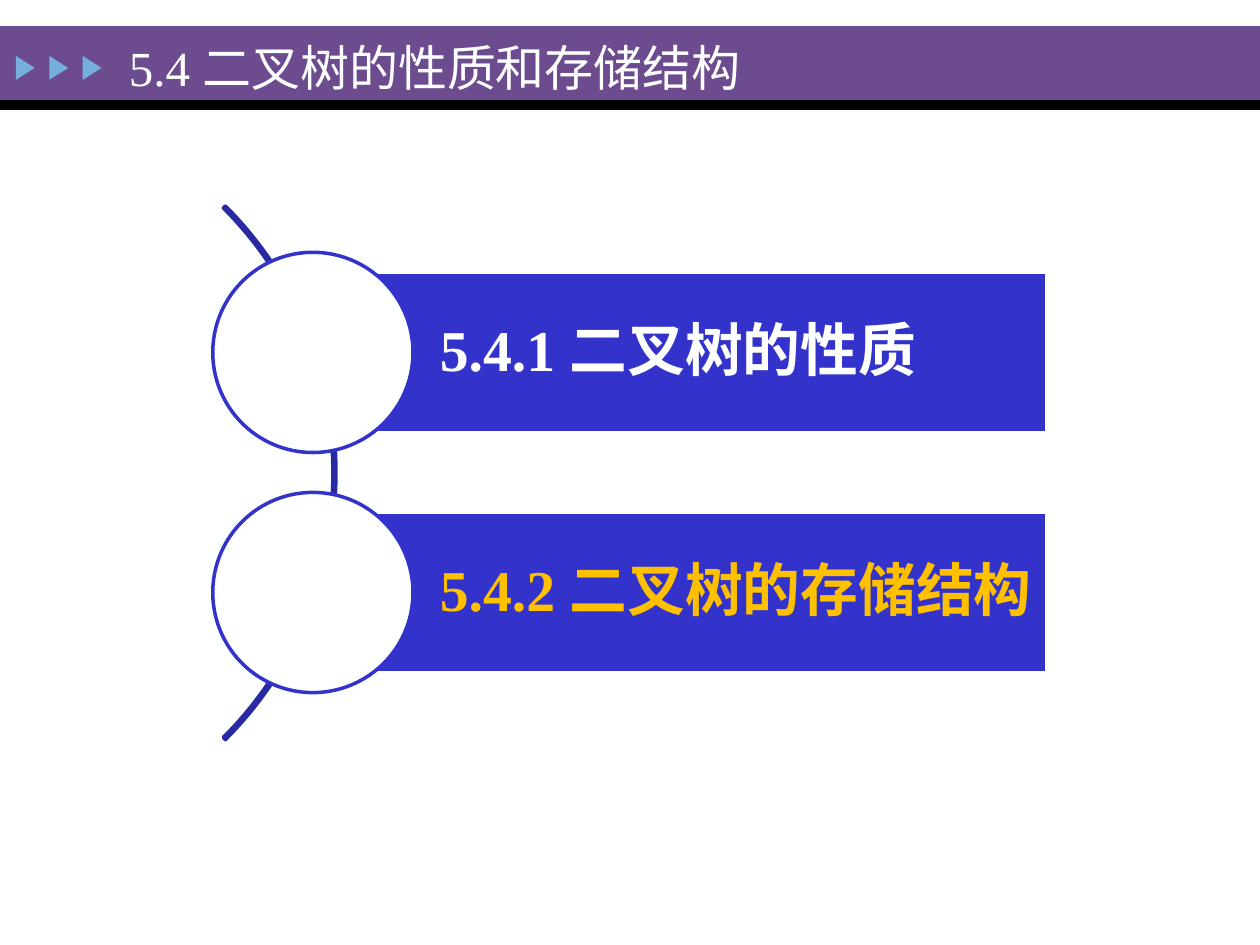
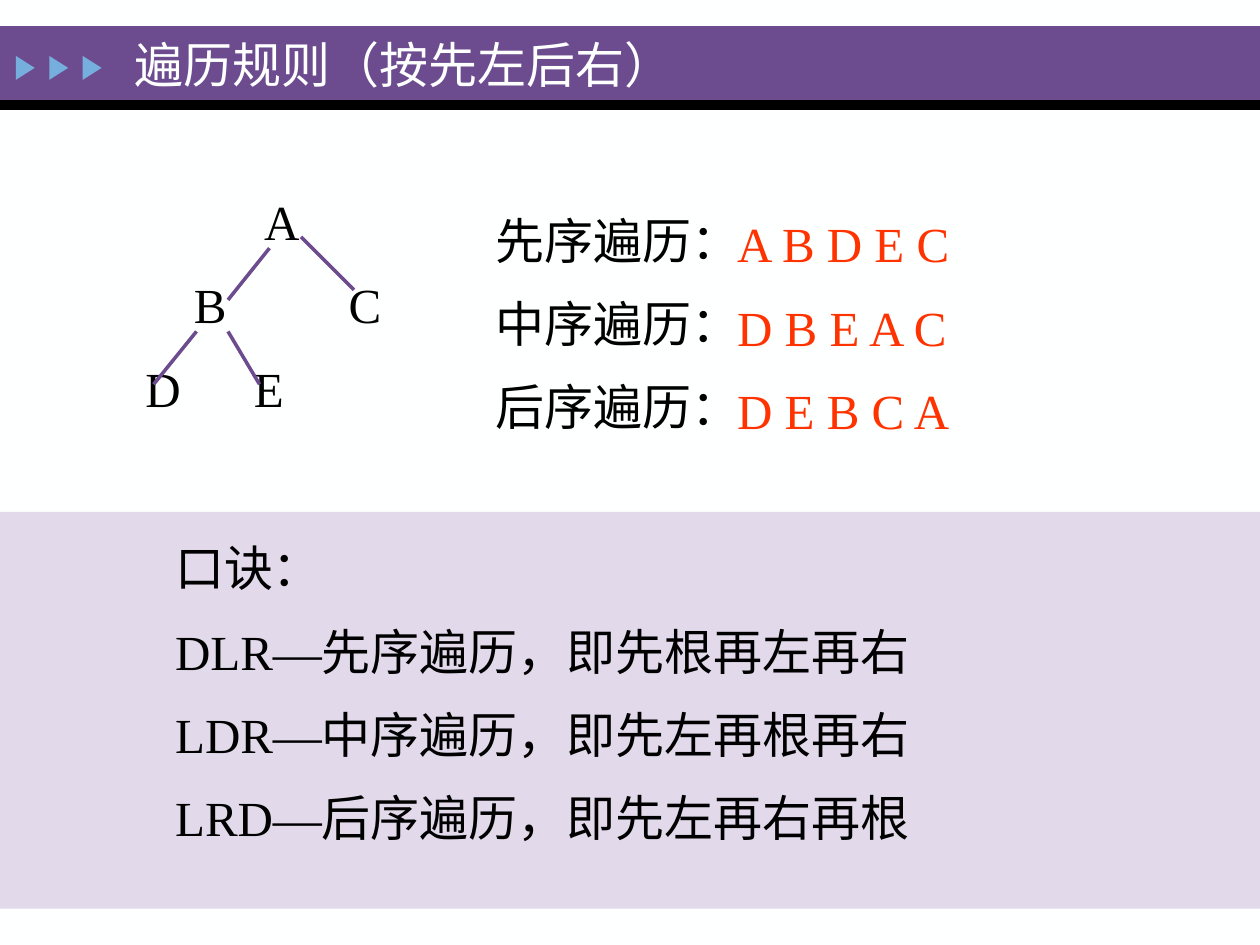
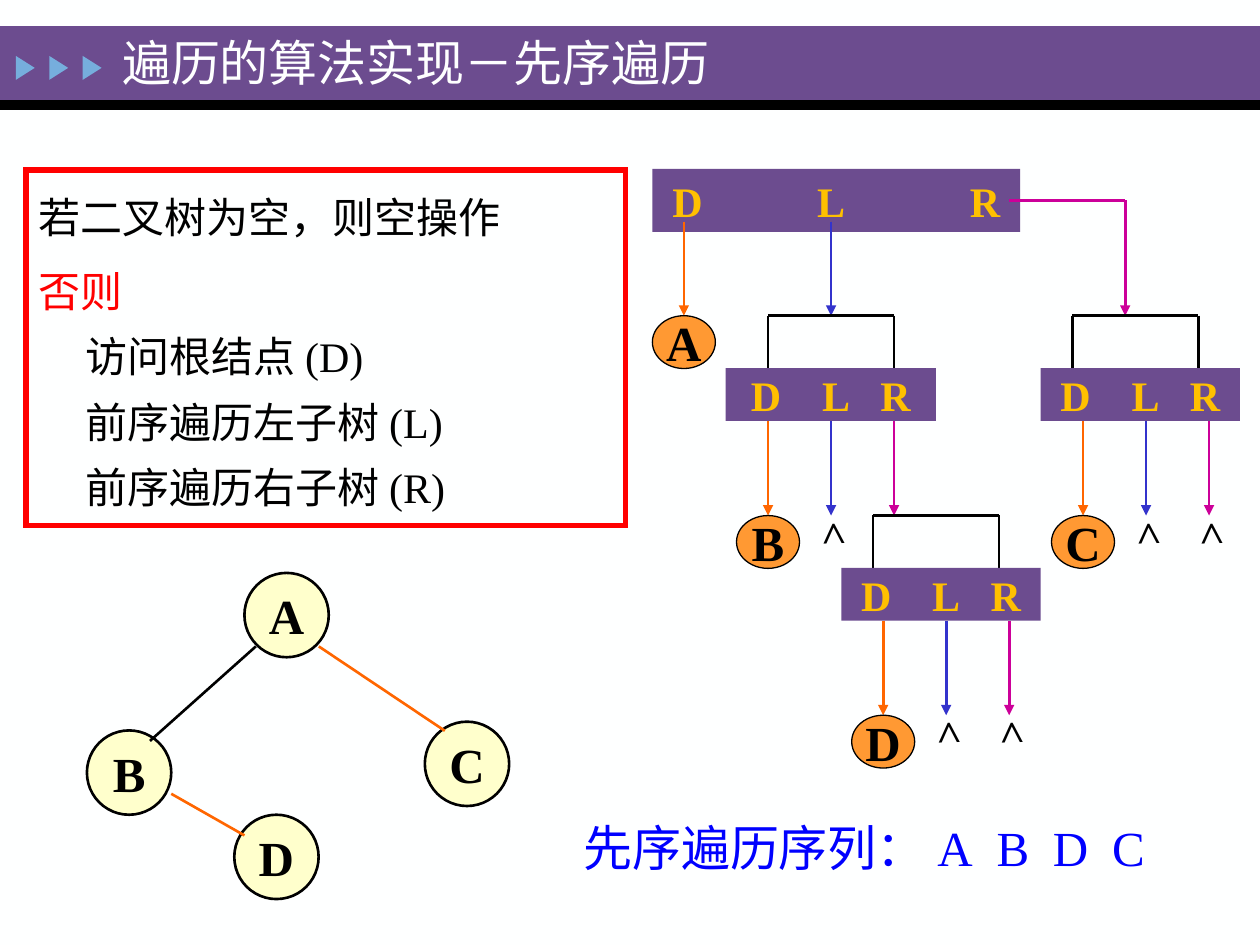
import dataclasses
from typing import Any, Optional

import pptx
import pptx.dml.color
import pptx.enum.lang
import pptx.enum.shapes
import pptx.enum.text
import pptx.oxml
import pptx.oxml.ns
import pptx.util

Pt = pptx.util.Pt
PRESET = pptx.enum.shapes.MSO_SHAPE
ALIGN = pptx.enum.text.PP_ALIGN
ANCHOR = pptx.enum.text.MSO_ANCHOR
NO_AUTOFIT = pptx.enum.text.MSO_AUTO_SIZE.NONE
CHINESE = pptx.enum.lang.MSO_LANGUAGE_ID.SIMPLIFIED_CHINESE
DRAWING_NS = pptx.oxml.ns.nsdecls("a")

FONT = "Times New Roman"
WHITE, BLACK = "FEFFFF", "000000"
PURPLE, LILAC, SKY = "6C4C8F", "E2D9EB", "76AEDD"
BLUE, DEEP_BLUE, PURE_BLUE = "3333CC", "2929A3", "0000FF"
GOLD, ORANGE, DARK_ORANGE, CREAM = "FFC000", "FF9933", "FF6600", "FFFFCC"
RED, VERMILION, MAGENTA = "FF0000", "FF3300", "CC0099"


@dataclasses.dataclass(frozen=True)
class Box:
    left: float
    top: float
    width: float
    height: float

    def lengths(self) -> list:
        return [Pt(value) for value in dataclasses.astuple(self)]


@dataclasses.dataclass(frozen=True)
class TextStyle:
    size: float = 28
    color: str = BLACK
    bold: bool = False
    align: Any = ALIGN.LEFT
    space_before: float = 0
    line_spacing: Optional[float] = None
    hanging: float = 0


@dataclasses.dataclass(frozen=True)
class Run:
    text: str
    color: Optional[str] = None


@dataclasses.dataclass(frozen=True)
class Call:
    """One recursive call: its DLR bar, bracket and the node it visits."""
    node: str
    bar: Box
    bracket_left: float
    visit_x: float
    empty_exits: tuple


TITLE = TextStyle(color=WHITE)
SPACED = TextStyle(space_before=14)
NODE = TextStyle(bold=True, align=ALIGN.CENTER)
BAR = TextStyle(size=24, color=GOLD, bold=True, align=ALIGN.CENTER)
LETTER = TextStyle(align=ALIGN.CENTER)


# ---- Shared helpers ----
def rgb(color: str) -> pptx.dml.color.RGBColor:
    return pptx.dml.color.RGBColor.from_string(color)


def apply(target: Any, values: dict) -> None:
    for name, value in values.items():
        setattr(target, name, value)


def plain(*texts: str) -> list:
    """One single-run paragraph for each text."""
    return [[Run(text)] for text in texts]


def add_run(paragraph: Any, text: str, color: str, style: TextStyle) -> None:
    run = paragraph.add_run()
    run.text = text
    apply(run.font, {"name": FONT, "size": Pt(style.size), "bold": style.bold,
                     "language_id": CHINESE})
    run.font.color.rgb = rgb(color)


def write(frame: Any, paragraphs: list, style: TextStyle, **frame_values: Any) -> None:
    apply(frame, {"auto_size": NO_AUTOFIT, "word_wrap": True,
                  "vertical_anchor": ANCHOR.TOP, **frame_values})
    for index, runs in enumerate(paragraphs):
        paragraph = frame.add_paragraph() if index else frame.paragraphs[0]
        properties = paragraph._p.get_or_add_pPr()
        properties.set("marL", str(Pt(style.hanging)))
        properties.set("indent", str(-Pt(style.hanging)))
        properties.append(pptx.oxml.parse_xml(f"<a:buNone {DRAWING_NS}/>"))
        apply(paragraph, {"alignment": style.align,
                          "space_before": Pt(style.space_before if index else 0),
                          "line_spacing": style.line_spacing})
        for run in runs:
            for row, part in enumerate(run.text.split("\n")):
                if row:
                    paragraph.add_line_break()
                if part:
                    add_run(paragraph, part, run.color or style.color, style)


def add_preset(slide: Any, preset: Any, box: Box, fill: Optional[str] = None,
               line: Optional[str] = None, width: float = 1.5) -> Any:
    shape = slide.shapes.add_shape(preset, *box.lengths())
    shape.shadow.inherit = False
    if fill:
        shape.fill.solid()
        shape.fill.fore_color.rgb = rgb(fill)
    else:
        shape.fill.background()
    if line:
        shape.line.color.rgb = rgb(line)
        shape.line.width = Pt(width)
    else:
        shape.line.fill.background()
    return shape


def add_text(slide: Any, box: Box, paragraphs: list, style: TextStyle,
             **frame_values: Any) -> Any:
    text_box = slide.shapes.add_textbox(*box.lengths())
    write(text_box.text_frame, paragraphs, style, **frame_values)
    return text_box


def add_letter(slide: Any, letter: str, x: float, top: float, height: float,
               style: TextStyle, **frame_values: Any) -> None:
    """A single letter centred on x."""
    add_text(slide, Box(x - 18, top, 36, height), plain(letter), style,
             margin_left=0, margin_right=0, **frame_values)


def add_line(slide: Any, start: tuple, end: tuple, color: str = BLACK,
             width: float = 1.5, arrow: bool = False) -> None:
    connector = slide.shapes.add_connector(
        pptx.enum.shapes.MSO_CONNECTOR.STRAIGHT,
        *(Pt(value) for value in (*start, *end)))
    connector.line.color.rgb = rgb(color)
    connector.line.width = Pt(width)
    properties = connector.element.spPr
    if arrow:
        properties.find(pptx.oxml.ns.qn("a:ln")).append(
            pptx.oxml.parse_xml(f'<a:tailEnd {DRAWING_NS} type="triangle"/>'))
    properties.append(pptx.oxml.parse_xml(f"<a:effectLst {DRAWING_NS}/>"))


def add_node(slide: Any, label: str, box: Box, fill: str, width: float) -> None:
    node = add_preset(slide, PRESET.OVAL, box, fill, BLACK, width)
    write(node.text_frame, plain(label), NODE,
          word_wrap=False, vertical_anchor=ANCHOR.MIDDLE)


def place(placeholder: Any, box: Box) -> None:
    apply(placeholder, dict(zip(("left", "top", "width", "height"), box.lengths())))


def add_slide(deck: Any, layout: int, title: str, box: Box) -> Any:
    slide = deck.slides.add_slide(deck.slide_layouts[layout])
    place(slide.shapes.title, box)
    write(slide.shapes.title.text_frame, plain(title), TITLE,
          vertical_anchor=ANCHOR.MIDDLE)
    return slide


def send_to_back(shape: Any, tree: Any, position: int = 0) -> None:
    tree.insert(2 + position, shape.element)


def decorate_master(deck: Any, slide: Any) -> None:
    """Draw the header band and move it to the master."""
    background = deck.slide_master.background.fill
    background.solid()
    background.fore_color.rgb = rgb(WHITE)
    header = [add_preset(slide, PRESET.RECTANGLE, Box(0, 15, 720, 42.6), PURPLE),
              add_preset(slide, PRESET.RECTANGLE, Box(0, 57.2, 720, 5.6), BLACK)]
    for step in range(3):
        marker = add_preset(slide, PRESET.ISOSCELES_TRIANGLE,
                            Box(7.6 + 19.1 * step, 33.4, 13.7, 10.8), SKY)
        marker.rotation = 90
        header.append(marker)
    for position, part in enumerate(header):
        send_to_back(part, deck.slide_master.shapes.element, position)


# ---- Slide 1: section contents ----
def build_contents(deck: Any) -> None:
    slide = add_slide(deck, 5, "5.4 二叉树的性质和存储结构", Box(66.5, 20.2, 504, 36))
    decorate_master(deck, slide)
    arc = add_preset(slide, PRESET.BLOCK_ARC, Box(-239.3, 54.5, 431.3, 431.3),
                     line=DEEP_BLUE, width=2)
    for index, angle in enumerate((189, 27, 0.004)):
        arc.adjustments[index] = angle

    sections = (("5.4.1 二叉树的性质", WHITE), ("5.4.2 二叉树的存储结构", GOLD))
    for index, (section, color) in enumerate(sections):
        top = 144.2 + 137.2 * index
        panel = add_preset(slide, PRESET.RECTANGLE, Box(178.6, top + 11.5, 419.8, 91.4),
                           BLUE, WHITE, 2)
        style = TextStyle(size=33, color=color, bold=True, line_spacing=0.9)
        write(panel.text_frame, plain(section), style, vertical_anchor=ANCHOR.MIDDLE,
              margin_left=Pt(72.7), margin_right=Pt(6.5),
              margin_top=Pt(6.5), margin_bottom=Pt(6.5))
        add_preset(slide, PRESET.OVAL, Box(121.6, top, 114.4, 114.4), WHITE, BLUE, 2)


# ---- Slide 2: traversal rules ----
def build_rules(deck: Any) -> None:
    slide = add_slide(deck, 1, "遍历规则（按先左后右）", Box(69.8, 15.8, 335.5, 41))
    panel = add_preset(slide, PRESET.RECTANGLE, Box(0, 292.5, 720, 226.8), LILAC)
    send_to_back(panel, slide.shapes.element)

    mnemonic = slide.placeholders[1]
    place(mnemonic, Box(92.9, 303.8, 480.2, 194.4))
    write(mnemonic.text_frame,
          plain("口诀：", "DLR—先序遍历，即先根再左再右",
                "LDR—中序遍历，即先左再根再右", "LRD—后序遍历，即先左再右再根"), SPACED)

    orders = {"先序遍历：": "A B D E C", "中序遍历：": "D B E A C", "后序遍历：": "D E B C A"}
    add_text(slide, Box(276.2, 116.6, 160.6, 141.8), plain(*orders), SPACED)
    add_text(slide, Box(414.2, 118.6, 144, 141.8), plain(*orders.values()),
             dataclasses.replace(SPACED, color=VERMILION))

    # Tree: letter, centre and row, then the branches
    tree = (("A", 161.1, 0), ("B", 120.2, 1), ("C", 208.6, 1),
            ("D", 93.2, 2), ("E", 153.6, 2))
    for letter, x, row in tree:
        add_letter(slide, letter, x, 105.8 + 47.7 * row, 41, LETTER)
    branches = (((154, 141.8), (130.3, 171.4)), ((172, 135.4), (202.3, 165.6)),
                ((130.3, 189.4), (148.3, 219.6)), ((112.3, 189.4), (87.8, 219.6)))
    for start, end in branches:
        add_line(slide, start, end, PURPLE, 2)


# ---- Slide 3: preorder traversal ----
ARROW, BRACKET, EXIT_GAP = 54, 30, 36
EXIT_COLORS = (DARK_ORANGE, BLUE, MAGENTA)
CALLS = (Call("B", Box(414.7, 210.4, 120.2, 30.2), 438.9, 438.9, (1,)),
         Call("D", Box(480.8, 324.5, 113.8, 30.2), 498.9, 504.7, (1, 2)),
         Call("C", Box(594.7, 210.4, 113.8, 30.2), 612.7, 618.9, (1, 2)))


def add_bar(slide: Any, box: Box, offsets: tuple) -> None:
    """Bar with D, L and R centred at offsets from its middle."""
    add_preset(slide, PRESET.RECTANGLE, box, PURPLE)
    for letter, offset in zip("DLR", offsets):
        add_letter(slide, letter, box.left + box.width / 2 + offset, box.top, box.height,
                   BAR, vertical_anchor=ANCHOR.MIDDLE, margin_top=0, margin_bottom=0)


def add_visit(slide: Any, label: str, x: float, top: float) -> None:
    add_node(slide, label, Box(x - 18, top, 36, 30.2), ORANGE, 0.75)


def add_call(slide: Any, call: Call) -> None:
    bar = call.bar
    left, right = call.bracket_left, call.bracket_left + 2 * EXIT_GAP
    bracket_top = bar.top - BRACKET
    add_line(slide, (left, bracket_top), (right, bracket_top))
    for x in (left, right):
        add_line(slide, (x, bracket_top), (x, bar.top))
    add_bar(slide, bar, (-37, 3, 37))

    bottom = bar.top + bar.height
    end = bottom + ARROW
    for index, color in enumerate(EXIT_COLORS):
        x = call.visit_x + EXIT_GAP * index
        add_line(slide, (x, bottom), (x, end), color, arrow=True)
        if index in call.empty_exits:
            empty = add_text(slide, Box(x - 15.1, end - 8.8, 30.2, 36), plain(">"),
                             TextStyle(size=24, bold=True))
            empty.rotation = 268.3
    add_visit(slide, call.node, call.visit_x, end)


def build_preorder(deck: Any) -> None:
    slide = add_slide(deck, 1, "遍历的算法实现－先序遍历", Box(62.6, 15.1, 463, 40.3))

    # Algorithm
    algorithm = slide.placeholders[1]
    place(algorithm, Box(14.8, 97.2, 342.7, 203))
    algorithm.line.color.rgb = rgb(RED)
    algorithm.line.width = Pt(3)
    algorithm.element.spPr.find(pptx.oxml.ns.qn("a:ln")).append(
        pptx.oxml.parse_xml(f'<a:miter {DRAWING_NS} lim="800000"/>'))
    steps = "\n访问根结点 (D)\n前序遍历左子树 (L)\n前序遍历右子树 (R)"
    write(algorithm.text_frame,
          [[Run("若二叉树为空，则空操作")], [Run("否则", RED), Run(steps)]],
          TextStyle(size=24, space_before=4.8, line_spacing=1.3, hanging=27))

    # Recursive calls, starting at the root
    add_bar(slide, Box(372.8, 96.5, 210.2, 36), (-85, -3, 85))
    for x, color in ((390.8, DARK_ORANGE), (474.9, BLUE)):
        add_line(slide, (x, 126.7), (x, 180.4), color, arrow=True)
    add_line(slide, (576.7, 114.5), (643, 114.5), MAGENTA)
    add_line(slide, (643, 114.5), (643, 180.4), MAGENTA, arrow=True)
    add_visit(slide, "A", 390.8, 180.4)
    for call in CALLS:
        add_call(slide, call)

    # Binary tree
    tree = {"A": (139.7, 327.4), "D": (133.9, 465.6),
            "B": (49.7, 417.4), "C": (242.8, 412.4)}
    for label, (left, top) in tree.items():
        add_node(slide, label, Box(left, top, 48.2, 48.2), CREAM, 1.5)
    add_line(slide, (146.2, 369.4), (85.7, 423.4))
    add_line(slide, (182.2, 369.4), (254.2, 417.6), DARK_ORANGE)
    add_line(slide, (97.9, 453.6), (139.7, 477.4), DARK_ORANGE)

    # Resulting sequence
    sequence_style = dataclasses.replace(LETTER, color=PURE_BLUE)
    add_text(slide, Box(326.2, 463.7, 215, 41), plain("先序遍历序列："),
             TextStyle(color=PURE_BLUE))
    for index, letter in enumerate("ABDC"):
        add_letter(slide, letter, 545.8 + 33 * index, 463.7, 41, sequence_style)


def main() -> None:
    deck = pptx.Presentation()
    deck.slide_width, deck.slide_height = Pt(720), Pt(540)
    build_contents(deck)
    build_rules(deck)
    build_preorder(deck)
    deck.save("out.pptx")


if __name__ == "__main__":
    main()
